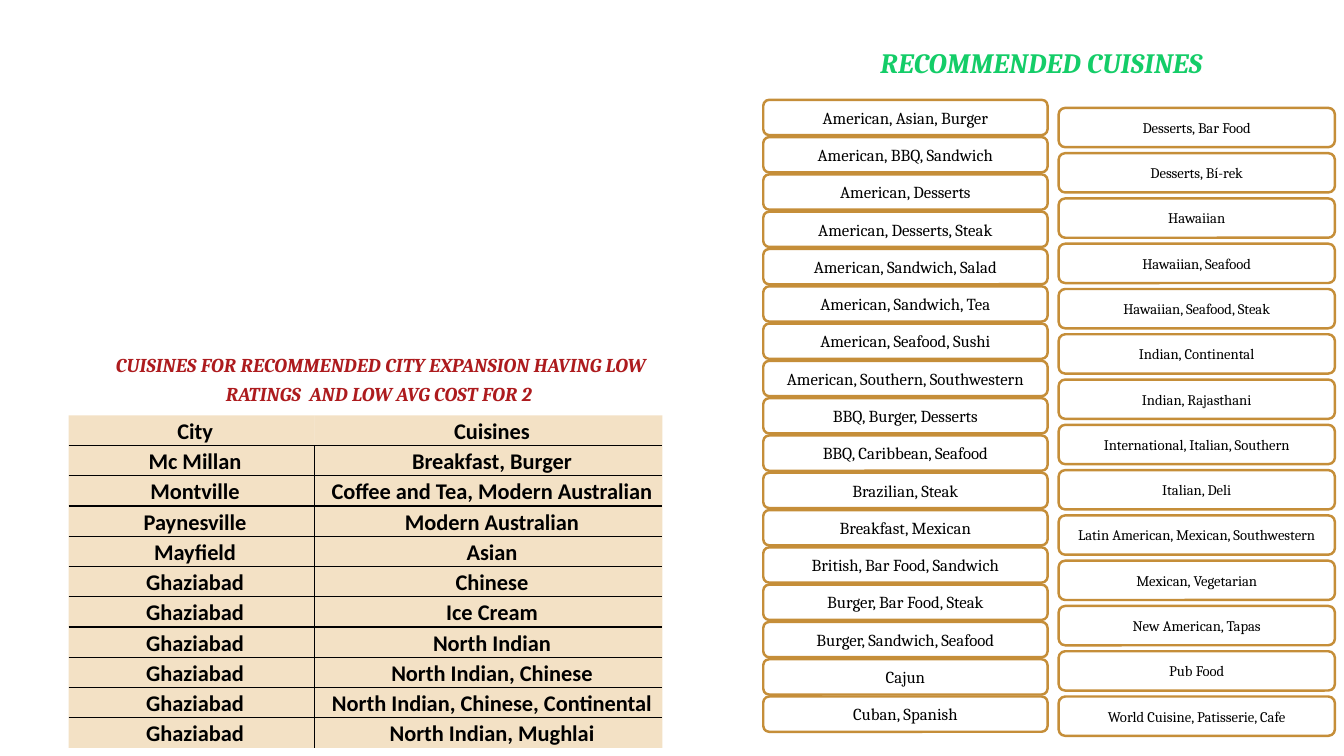
import pptx
import pptx.dml.color
import pptx.enum.shapes
import pptx.enum.text
import pptx.oxml
import pptx.oxml.ns
import pptx.util
from pptx.util import Inches

COLORS = {
    "title": "14CD68",
    "heading": "AD1B1E",
    "text": "000000",
    "box": "FFFFFF",
    "outline": "C58E39",
    "cell": "E8C48C",
    "rule": "000000",
}
TITLE = "RECOMMENDED CUISINES "
HEADING = "CUISINES FOR RECOMMENDED CITY EXPANSION HAVING LOW RATINGS  AND LOW AVG COST FOR 2 "
CUISINE_LISTS = [
    {
        "left": 7.57, "first_top": 0.99, "last_top": 6.91, "width": 2.82, "height": 0.35,
        "size": 12, "inset": 0.05,
        "cuisines": [
            "American, Asian, Burger",
            "American, BBQ, Sandwich",
            "American, Desserts",
            "American, Desserts, Steak",
            "American, Sandwich, Salad",
            "American, Sandwich, Tea",
            "American, Seafood, Sushi",
            "American, Southern, Southwestern",
            "BBQ, Burger, Desserts",
            "BBQ, Caribbean, Seafood",
            "Brazilian, Steak",
            "Breakfast, Mexican",
            "British, Bar Food, Sandwich",
            "Burger, Bar Food, Steak",
            "Burger, Sandwich, Seafood",
            "Cajun",
            "Cuban, Spanish",
        ],
    },
    {
        "left": 10.5, "first_top": 1.07, "last_top": 6.91, "width": 2.74, "height": 0.39,
        "size": 10.5, "inset": 0.04,
        "cuisines": [
            "Desserts, Bar Food",
            "Desserts, Bí-rek",
            "Hawaiian",
            "Hawaiian, Seafood",
            "Hawaiian, Seafood, Steak",
            "Indian, Continental",
            "Indian, Rajasthani",
            "International, Italian, Southern",
            "Italian, Deli",
            "Latin American, Mexican, Southwestern",
            "Mexican, Vegetarian",
            "New American, Tapas",
            "Pub Food",
            "World Cuisine, Patisserie, Cafe",
        ],
    },
]
CITY_ROWS = [
    ("City", "Cuisines"),
    ("Mc Millan", "Breakfast, Burger"),
    ("Montville", "Coffee and Tea, Modern Australian"),
    ("Paynesville", "Modern Australian"),
    ("Mayfield", "Asian"),
    ("Ghaziabad", "Chinese"),
    ("Ghaziabad", "Ice Cream"),
    ("Ghaziabad", "North Indian"),
    ("Ghaziabad", "North Indian, Chinese"),
    ("Ghaziabad", "North Indian, Chinese, Continental"),
    ("Ghaziabad", "North Indian, Mughlai"),
]
COLUMN_WIDTHS = (2.44, 3.45)
ROW_HEIGHT = 0.3
NO_STYLE = "{2D5ABB26-0587-4C30-8999-92F81FD0307C}"


def color(name):
    return pptx.dml.color.RGBColor.from_string(COLORS[name])


def write(paragraph, text, size, font, color_name, bold=False, italic=False):
    paragraph.alignment = pptx.enum.text.PP_ALIGN.CENTER
    run = paragraph.add_run()
    run.text = text
    run.font.size = pptx.util.Pt(size)
    run.font.name = font
    run.font.bold = bold
    run.font.italic = italic
    run.font.color.rgb = color(color_name)


def add_heading(slide, text, left, top, width, height, size, color_name):
    box = slide.shapes.add_textbox(Inches(left), Inches(top), Inches(width), Inches(height))
    box.text_frame.word_wrap = True
    paragraph = box.text_frame.paragraphs[0]
    paragraph.line_spacing = 1.2
    paragraph.space_before = pptx.util.Pt(10)
    write(paragraph, text, size, "Cambria", color_name, bold=True, italic=True)


def add_cuisine_list(slide, layout):
    group = slide.shapes.add_group_shape()
    pitch = (layout["last_top"] - layout["first_top"]) / (len(layout["cuisines"]) - 1)
    for index, cuisine in enumerate(layout["cuisines"]):
        shape = group.shapes.add_shape(
            pptx.enum.shapes.MSO_SHAPE.ROUNDED_RECTANGLE,
            Inches(layout["left"]), Inches(layout["first_top"] + index * pitch),
            Inches(layout["width"]), Inches(layout["height"]))
        shape.shadow.inherit = False
        shape.fill.solid()
        shape.fill.fore_color.rgb = color("box")
        shape.line.color.rgb = color("outline")
        shape.line.width = pptx.util.Pt(1.75)
        frame = shape.text_frame
        frame.word_wrap = True
        frame.vertical_anchor = pptx.enum.text.MSO_ANCHOR.MIDDLE
        inset = Inches(layout["inset"])
        frame.margin_left = frame.margin_right = inset
        frame.margin_top = frame.margin_bottom = inset
        write(frame.paragraphs[0], cuisine, layout["size"], "Cambria", "text")


def style_cell(cell, ruled_sides):
    properties = cell._tc.get_or_add_tcPr()
    namespace = pptx.oxml.ns.nsdecls("a")
    for side in ("L", "R", "T", "B"):
        if side in ruled_sides:
            properties.append(pptx.oxml.parse_xml(
                f'<a:ln{side} {namespace} w="12700"><a:solidFill>'
                f'<a:srgbClr val="{COLORS["rule"]}"/></a:solidFill></a:ln{side}>'))
        else:
            properties.append(pptx.oxml.parse_xml(
                f'<a:ln{side} {namespace} w="0"><a:noFill/></a:ln{side}>'))
    properties.append(pptx.oxml.parse_xml(
        f'<a:solidFill {namespace}><a:srgbClr val="{COLORS["cell"]}">'
        f'<a:alpha val="50000"/></a:srgbClr></a:solidFill>'))


def add_city_table(slide):
    last_row = len(CITY_ROWS) - 1
    frame = slide.shapes.add_table(
        len(CITY_ROWS), len(COLUMN_WIDTHS), Inches(0.68), Inches(4.12),
        Inches(sum(COLUMN_WIDTHS)), Inches(ROW_HEIGHT * len(CITY_ROWS)))
    table = frame.table
    table.first_row = table.horz_banding = False
    table._tbl.tblPr.find(pptx.oxml.ns.qn("a:tableStyleId")).text = NO_STYLE
    for column, width in zip(table.columns, COLUMN_WIDTHS):
        column.width = Inches(width)
    for row_index, values in enumerate(CITY_ROWS):
        table.rows[row_index].height = Inches(ROW_HEIGHT)
        for column_index, value in enumerate(values):
            cell = table.cell(row_index, column_index)
            cell.vertical_anchor = pptx.enum.text.MSO_ANCHOR.BOTTOM
            cell.margin_left = cell.margin_right = Inches(0.07)
            cell.margin_top = cell.margin_bottom = 0
            paragraph = cell.text_frame.paragraphs[0]
            write(paragraph, value, 16, "Calibri", "text", bold=True)
            paragraph._p.get_or_add_pPr().set("marL", str(Inches(0.07)))
            sides = "T" if row_index > 0 else ""
            sides += "B" if row_index < last_row else ""
            if row_index > 0:
                sides += "R" if column_index == 0 else "L"
            style_cell(cell, sides)


def main():
    """Build the recommended cuisines slide."""
    presentation = pptx.Presentation()
    presentation.slide_width = Inches(13.33)
    presentation.slide_height = Inches(7.5)
    slide = presentation.slides.add_slide(presentation.slide_layouts[6])
    add_heading(slide, TITLE, 7.57, 0.34, 5.58, 0.76, 20, "title")
    for layout in CUISINE_LISTS:
        add_cuisine_list(slide, layout)
    add_city_table(slide)
    add_heading(slide, HEADING, 0.99, 3.41, 5.58, 0.53, 14, "heading")
    presentation.save("out.pptx")


if __name__ == "__main__":
    main()
